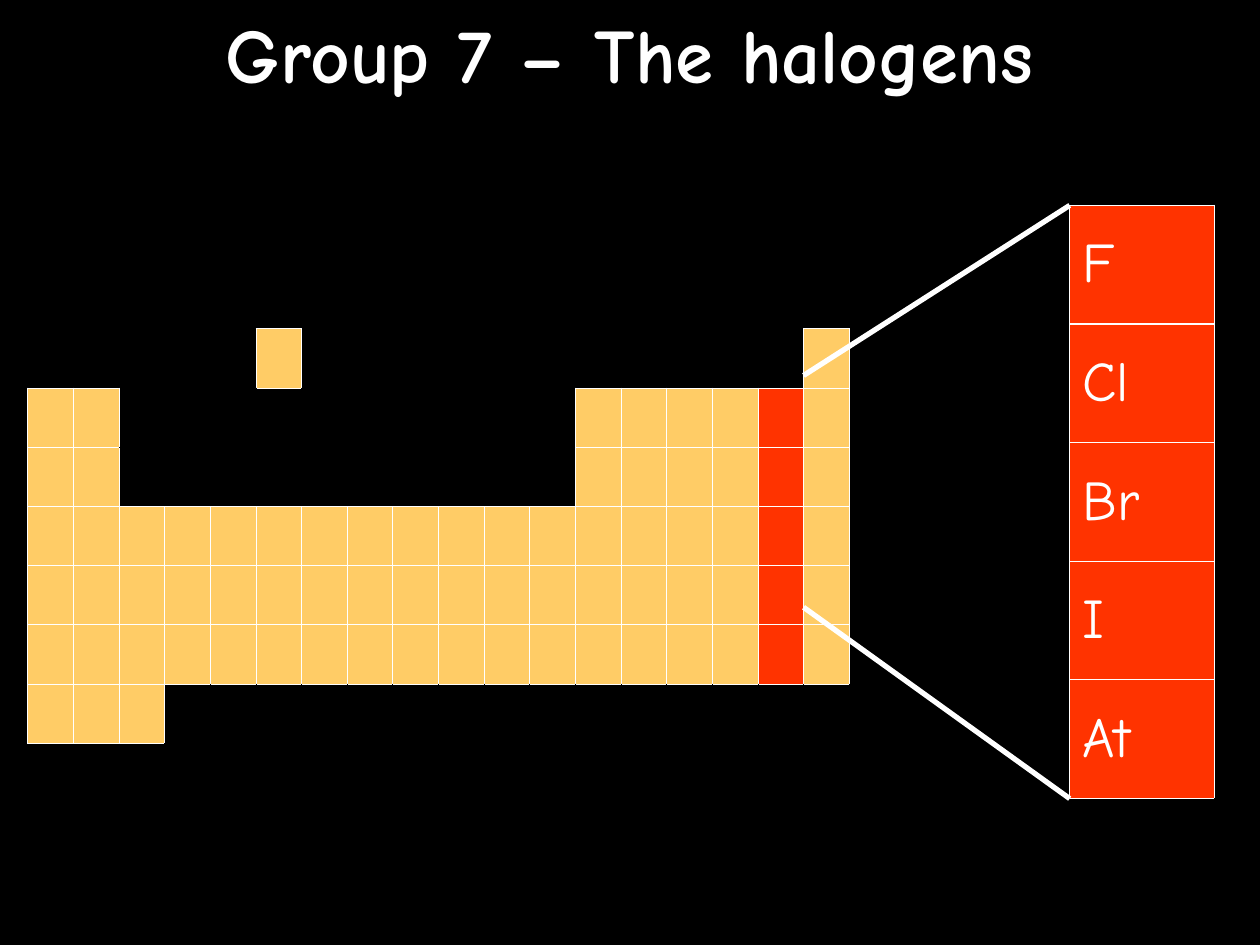
from lxml import etree
from pptx import Presentation
from pptx.dml.color import RGBColor
from pptx.enum.shapes import MSO_CONNECTOR
from pptx.enum.text import MSO_ANCHOR, PP_ALIGN
from pptx.oxml.ns import qn
from pptx.util import Inches, Pt

MIDDLE, CENTER, STRAIGHT = MSO_ANCHOR.MIDDLE, PP_ALIGN.CENTER, MSO_CONNECTOR.STRAIGHT
FONT = "Comic Neue"
BLACK, WHITE, SAND, RED = "000000", "FFFFFF", "FFCC66", "FF3300"

TITLE = "Group 7 – The halogens"
# e = element, h = halogen, . = empty
PERIODS = [
    ".....e...........e",
    "ee..........eeeehe",
    "ee..........eeeehe",
    "eeeeeeeeeeeeeeeehe",
    "eeeeeeeeeeeeeeeehe",
    "eeeeeeeeeeeeeeeehe",
    "eee...............",
]
HALOGENS = ["F", "Cl", "Br", "I", "At"]
HALOGEN_ROWS = ["h"] * len(HALOGENS) + ["."]
FILLS = {"e": SAND, "h": RED, ".": BLACK}
SIDES = {"a:lnL": (0, -1), "a:lnR": (0, 1), "a:lnT": (-1, 0), "a:lnB": (1, 0)}

PERIODIC_AREA = (0.22, 2.61, 6.52, 3.29)
HALOGEN_AREA = (8.49, 1.63, 1.15, 5.65)
ZOOM_STARTS = (2.98, 4.82)


def color(hex_value):
    return RGBColor.from_string(hex_value)


def style_text(para, **formats):
    for name, value in {"name": FONT, **formats}.items():
        setattr(para.font, name, value)
    para.font.color.rgb = color(WHITE)


def add_border(cell, position, tag, hex_value, points):
    line = etree.Element(qn(tag), w=str(Pt(points)))
    fill = etree.SubElement(line, qn("a:solidFill"))
    etree.SubElement(fill, qn("a:srgbClr"), val=hex_value)
    cell._tc.get_or_add_tcPr().insert(position, line)


def add_grid(page, pattern, area, points):
    """Draw a table whose borders are white wherever they touch an element."""
    rows, columns = len(pattern), len(pattern[0])
    table = page.shapes.add_table(rows, columns, *map(Inches, area)).table
    table.first_row = table.horz_banding = False

    def occupied(row, column):
        return 0 <= row < rows and 0 <= column < columns and pattern[row][column] != "."

    for row, kinds in enumerate(pattern):
        for column, kind in enumerate(kinds):
            cell = table.cell(row, column)
            cell.fill.solid()
            cell.fill.fore_color.rgb = color(FILLS[kind])
            for position, (tag, (down, right)) in enumerate(SIDES.items()):
                lit = occupied(row, column) or occupied(row + down, column + right)
                add_border(cell, position, tag, WHITE if lit else BLACK, points)
    return table


def add_zoom_line(page, start, end):
    line = page.shapes.add_connector(STRAIGHT, *map(Inches, start + end))
    line.line.color.rgb = color(WHITE)
    line.line.width = Pt(3)
    etree.SubElement(line._element.spPr, qn("a:effectLst"))


def main():
    deck = Presentation()
    deck.slide_width, deck.slide_height = Inches(10), Inches(7.5)
    page = deck.slides.add_slide(deck.slide_layouts[5])
    page.background.fill.solid()
    page.background.fill.fore_color.rgb = color(BLACK)

    title = page.shapes.title
    title.left, title.top, title.width, title.height = map(Inches, (0, 0, 10, 0.83))
    title.text_frame.text = TITLE
    title.text_frame.vertical_anchor = MIDDLE
    heading = title.text_frame.paragraphs[0]
    heading.alignment = CENTER
    style_text(heading, size=Pt(44), bold=True)

    add_grid(page, PERIODS, PERIODIC_AREA, 0.45)
    halogen_table = add_grid(page, HALOGEN_ROWS, HALOGEN_AREA, 0.75)
    for row, symbol in enumerate(HALOGENS):
        cell = halogen_table.cell(row, 0)
        cell.text = symbol
        cell.vertical_anchor = MIDDLE
        style_text(cell.text_frame.paragraphs[0], size=Pt(32))

    left, top, _, height = HALOGEN_AREA
    bottom = top + height * len(HALOGENS) / len(HALOGEN_ROWS)
    group_edge = PERIODIC_AREA[0] + PERIODIC_AREA[2] * 17 / 18
    for start, end in zip(ZOOM_STARTS, (top, bottom)):
        add_zoom_line(page, (group_edge, start), (left, end))

    deck.save("out.pptx")


if __name__ == "__main__":
    main()
